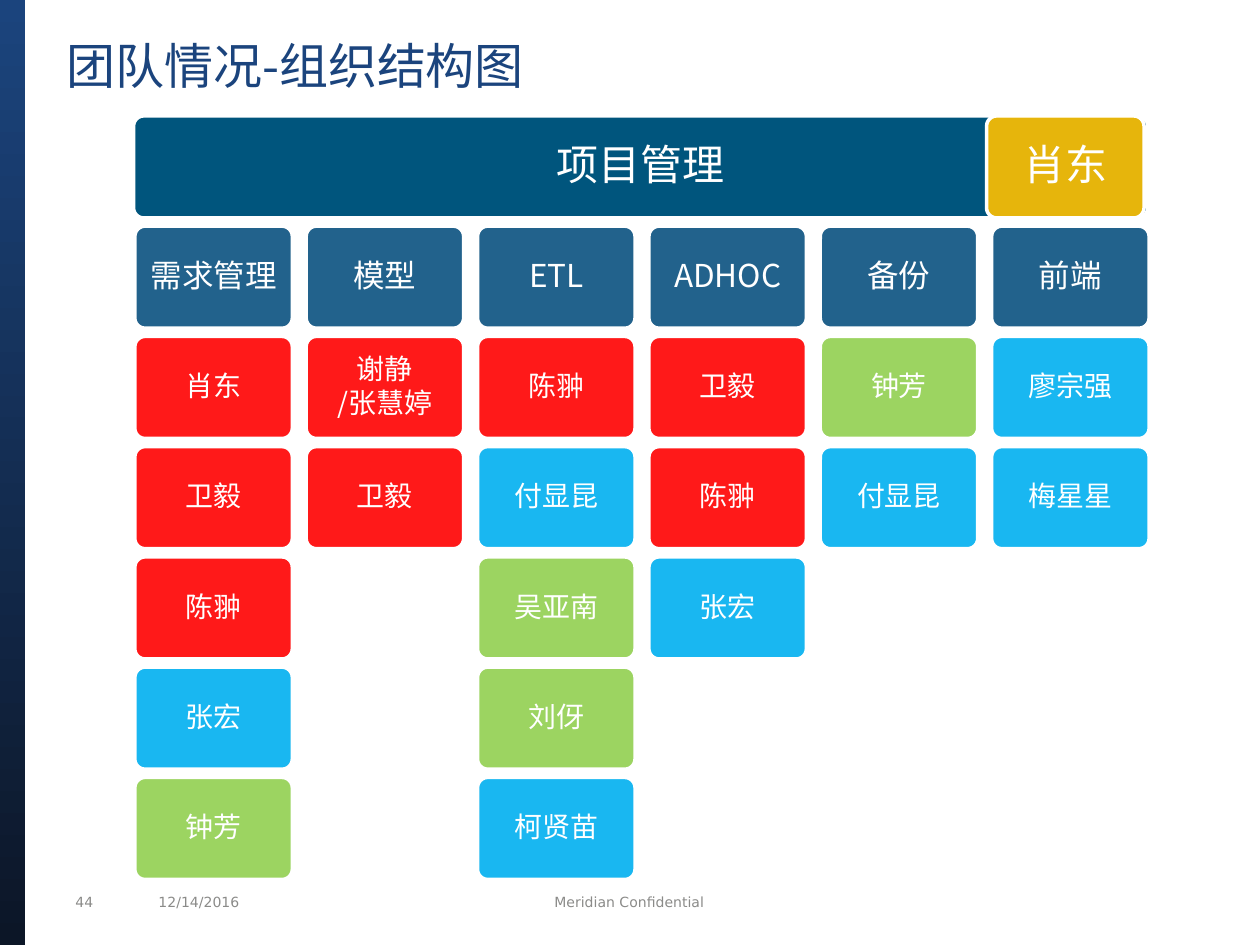
"""Build the team organisation chart slide."""
from lxml.etree import SubElement
from pptx import Presentation
from pptx.dml.color import RGBColor
from pptx.enum.shapes import MSO_SHAPE
from pptx.enum.text import MSO_ANCHOR, PP_ALIGN
from pptx.oxml.ns import qn
from pptx.util import Inches, Pt

WHITE = RGBColor(0xFF, 0xFF, 0xFF)
NAVY = RGBColor(0x1B, 0x44, 0x7D)
MIDNIGHT = RGBColor(0x0C, 0x16, 0x27)
GREY = RGBColor(0x8B, 0x8B, 0x89)
TEAL = RGBColor(0x00, 0x55, 0x7D)
STEEL = RGBColor(0x22, 0x62, 0x8C)
RED = RGBColor(0xFF, 0x00, 0x00)
BLUE = RGBColor(0x00, 0xB0, 0xF0)
GREEN = RGBColor(0x92, 0xD0, 0x50)
GOLD = RGBColor(0xFF, 0xC0, 0x00)
CJK_FONT = "Noto Sans CJK SC"
FOOTER_FONT = "DejaVu Sans"

BOX_WIDTH, BOX_HEIGHT = 1.25, 0.81
LEFT, TOP = 1.07, 0.92
COLUMN_STEP, ROW_STEP = 1.36, 0.875

TEAMS = [
    ("需求管理", [("肖东", RED), ("卫毅", RED), ("陈翀", RED), ("张宏", BLUE), ("钟芳", GREEN)]),
    ("模型", [("谢静\n/张慧婷", RED), ("卫毅", RED)]),
    ("ETL", [("陈翀", RED), ("付显昆", BLUE), ("吴亚南", GREEN), ("刘伢", GREEN), ("柯贤苗", BLUE)]),
    ("ADHOC", [("卫毅", RED), ("陈翀", RED), ("张宏", BLUE)]),
    ("备份", [("钟芳", GREEN), ("付显昆", BLUE)]),
    ("前端", [("廖宗强", BLUE), ("梅星星", BLUE)]),
]


def write(shape, text, size, color, font, align):
    frame = shape.text_frame
    frame.word_wrap = True
    frame.text = text
    for paragraph in frame.paragraphs:
        paragraph.alignment = align
        for run in paragraph.runs:
            run.font.size = Pt(size)
            run.font.name = font
            run.font.color.rgb = color
            SubElement(run.font._element, qn("a:ea")).set("typeface", font)
    return frame


def add_box(left, top, width, text, size, color, opacity=100):
    box = slide.shapes.add_shape(
        MSO_SHAPE.ROUNDED_RECTANGLE, Inches(left), Inches(top), Inches(width), Inches(BOX_HEIGHT)
    )
    box.adjustments[0] = 0.1
    box.shadow.inherit = False
    box.fill.solid()
    box.fill.fore_color.rgb = color
    if opacity < 100:
        tint = box._element.spPr.find(qn("a:solidFill")).find(qn("a:srgbClr"))
        SubElement(tint, qn("a:alpha")).set("val", str(opacity * 1000))
    box.line.color.rgb = WHITE
    box.line.width = Pt(2)
    frame = write(box, text, size, WHITE, CJK_FONT, PP_ALIGN.CENTER)
    frame.vertical_anchor = MSO_ANCHOR.MIDDLE
    frame.margin_left = frame.margin_right = Inches(0.09)
    frame.margin_top = frame.margin_bottom = Inches(0.09)
    for paragraph in frame.paragraphs:
        paragraph.line_spacing = 0.9
        paragraph.space_after = Pt(2)


prs = Presentation()
prs.slide_width, prs.slide_height = Inches(10), Inches(7.5)
slide = prs.slides.add_slide(prs.slide_layouts[6])

for text, left, width, align in [
    ("44", 0.5, 0.5, PP_ALIGN.LEFT),
    ("12/14/2016", 1.16, 1.67, PP_ALIGN.LEFT),
    ("Meridian Confidential", 2.91, 4.17, PP_ALIGN.CENTER),
]:
    footer = slide.shapes.add_textbox(Inches(left), Inches(7.04), Inches(width), Inches(0.24))
    write(footer, text, 8, GREY, FOOTER_FONT, align).vertical_anchor = MSO_ANCHOR.MIDDLE

side_band = slide.shapes.add_shape(MSO_SHAPE.RECTANGLE, 0, 0, Inches(0.2), Inches(7.5))
side_band.shadow.inherit = False
side_band.line.fill.background()
side_band.fill.gradient()
side_band.fill.gradient_angle = 90
for stop, color in zip(side_band.fill.gradient_stops, (MIDNIGHT, NAVY)):
    stop.color.rgb = color

title = slide.shapes.add_textbox(Inches(0.43), Inches(0.28), Inches(9), Inches(0.56))
title_frame = write(title, "团队情况-组织结构图", 28, NAVY, CJK_FONT, PP_ALIGN.LEFT)
title_frame.margin_top = title_frame.margin_bottom = 0

add_box(1.06, TOP, 8.05, "项目管理", 24, TEAL)

for column, (team, members) in enumerate(TEAMS):
    left = LEFT + column * COLUMN_STEP
    add_box(left, TOP + ROW_STEP, BOX_WIDTH, team, 18, STEEL)
    for row, (member, color) in enumerate(members, start=2):
        add_box(left, TOP + row * ROW_STEP, BOX_WIDTH, member, 16, color, 90)

add_box(7.83, TOP, BOX_WIDTH, "肖东", 24, GOLD, 90)

prs.save("out.pptx")
